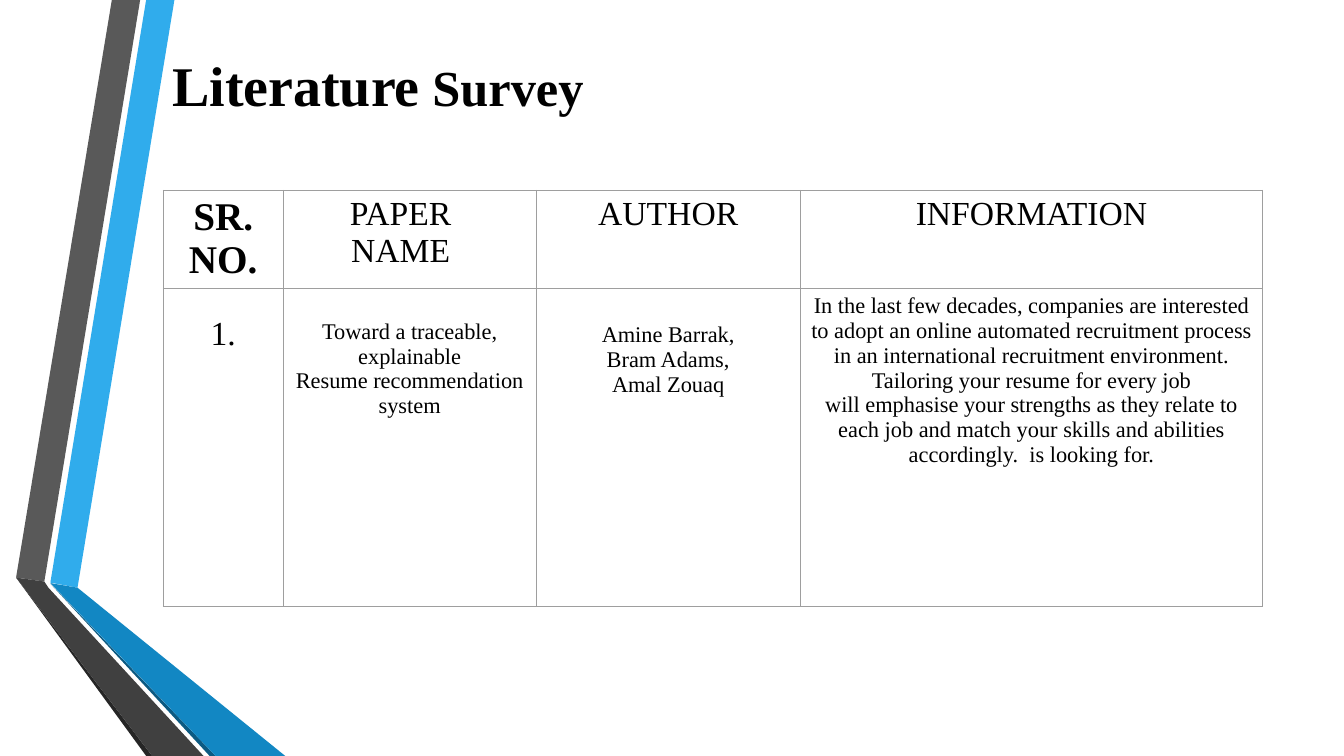
from pptx import Presentation
from pptx import util as u
from pptx.dml.color import RGBColor
from pptx.enum import text
from pptx.oxml import parse_xml
from pptx.oxml.ns import nsdecls

FONT = "Times New Roman"
INK = "000000"
RULE = "9E9E9E"
INSET = 6.5
TENTHS = 10

RIBBONS = [
    ("30ACEC", [(36, 416.2), (55.4, 419.8), (124.6, 0), (104.4, 0)]),
    ("595959", [(100.1, 0), (79.9, 0), (11.5, 412.6), (31.7, 415.4)]),
    ("262626", [(11.5, 412.6), (104.4, 540), (108.7, 540)]),
    ("0C5A82", [(36, 416.9), (149.8, 540), (154.1, 540)]),
    ("1287C3", [(36, 416.5), (154.1, 540), (203.8, 540), (55.4, 419.8)]),
    ("404040", [(11.5, 412.6), (108.7, 540), (145.4, 540), (34.6, 419.8), (31.7, 415.4)]),
]

# Each cell: wording, size, bold, space above, extra space at right
SURVEY = [
    [
        ("SR.\nNO.", 28, True, 0, 0),
        ("PAPER\nNAME", 24, False, 0, 13),
        ("AUTHOR", 24, False, 0, 0),
        ("INFORMATION", 24, False, 0, 0),
    ],
    [
        ("1.", 24, False, 16, 0),
        ("Toward a traceable,\nexplainable\nResume recommendation system", 16, False, 18.4, 0),
        ("Amine Barrak,\nBram Adams,\nAmal Zouaq", 16, False, 20.7, 0),
        ("In the last few decades, companies are interested to adopt an online "
         "automated recruitment process in an international recruitment environment. "
         "Tailoring your resume for every job\n"
         "will emphasise your strengths as they relate to each job and match your "
         "skills and abilities accordingly.  is looking for.", 16, False, 0, 0),
    ],
]


def colour(hex_code):
    return RGBColor.from_string(hex_code)


def style(font, size, bold):
    font.name = FONT
    font.size = u.Pt(size)
    font.bold = bold
    font.color.rgb = colour(INK)


def draw_ribbons(slide, left, top):
    for shade, corners in RIBBONS:
        points = [(x * TENTHS, y * TENTHS) for x, y in corners]
        outline = slide.shapes.build_freeform(*points[0], scale=u.Pt(1) / TENTHS)
        outline.add_line_segments(points[1:], close=True)
        ribbon = outline.convert_to_shape(u.Pt(left), u.Pt(top))
        ribbon.shadow.inherit = False
        ribbon.fill.solid()
        ribbon.fill.fore_color.rgb = colour(shade)
        ribbon.line.fill.background()


def draw_heading(slide, left, top, width, height):
    heading = slide.shapes.add_textbox(*map(u.Pt, (left, top, width, height)))
    frame = heading.text_frame
    frame.word_wrap = True
    frame.vertical_anchor = text.MSO_ANCHOR.MIDDLE
    for words, size in (("Literature", 40), (" Survey", 36)):
        run = frame.paragraphs[0].add_run()
        run.text = words
        style(run.font, size, True)


def draw_borders(cell):
    properties = cell._tc.get_or_add_tcPr()
    for position, side in enumerate(("lnL", "lnR", "lnT", "lnB")):
        properties.insert(position, parse_xml(
            f'<a:{side} {nsdecls("a")} w="{u.Pt(0.75)}"><a:solidFill>'
            f'<a:srgbClr val="{RULE}"/></a:solidFill></a:{side}>'))


def fill_cell(cell, words, size, bold, space_above, space_right):
    cell.fill.background()
    cell.margin_left = u.Pt(INSET)
    cell.margin_right = u.Pt(INSET + space_right)
    cell.margin_top = u.Pt(3.6 + space_above)
    cell.margin_bottom = u.Pt(3.6)
    cell.text_frame.text = words
    for paragraph in cell.text_frame.paragraphs:
        paragraph.alignment = text.PP_ALIGN.CENTER
        style(paragraph.font, size, bold)
    draw_borders(cell)


def draw_survey(slide, left, top, widths, heights):
    box = (left, top, sum(widths), sum(heights))
    survey = slide.shapes.add_table(len(heights), len(widths), *map(u.Pt, box)).table
    survey.first_row = False
    survey.horz_banding = False
    for column, width in zip(survey.columns, widths):
        column.width = u.Pt(width)
    for row, height, entries in zip(survey.rows, heights, SURVEY):
        row.height = u.Pt(height)
        for cell, entry in zip(row.cells, entries):
            fill_cell(cell, *entry)


def main():
    deck = Presentation()
    deck.slide_width, deck.slide_height = u.Pt(960), u.Pt(540)
    slide = deck.slides.add_slide(deck.slide_layouts[6])
    draw_ribbons(slide, 0, 0)
    draw_survey(slide, 116.6, 136, (85.7, 180.7, 188.6, 330.5), (70, 227))
    draw_heading(slide, 116, 13, 704, 93.6)
    deck.save("out.pptx")


if __name__ == "__main__":
    main()
